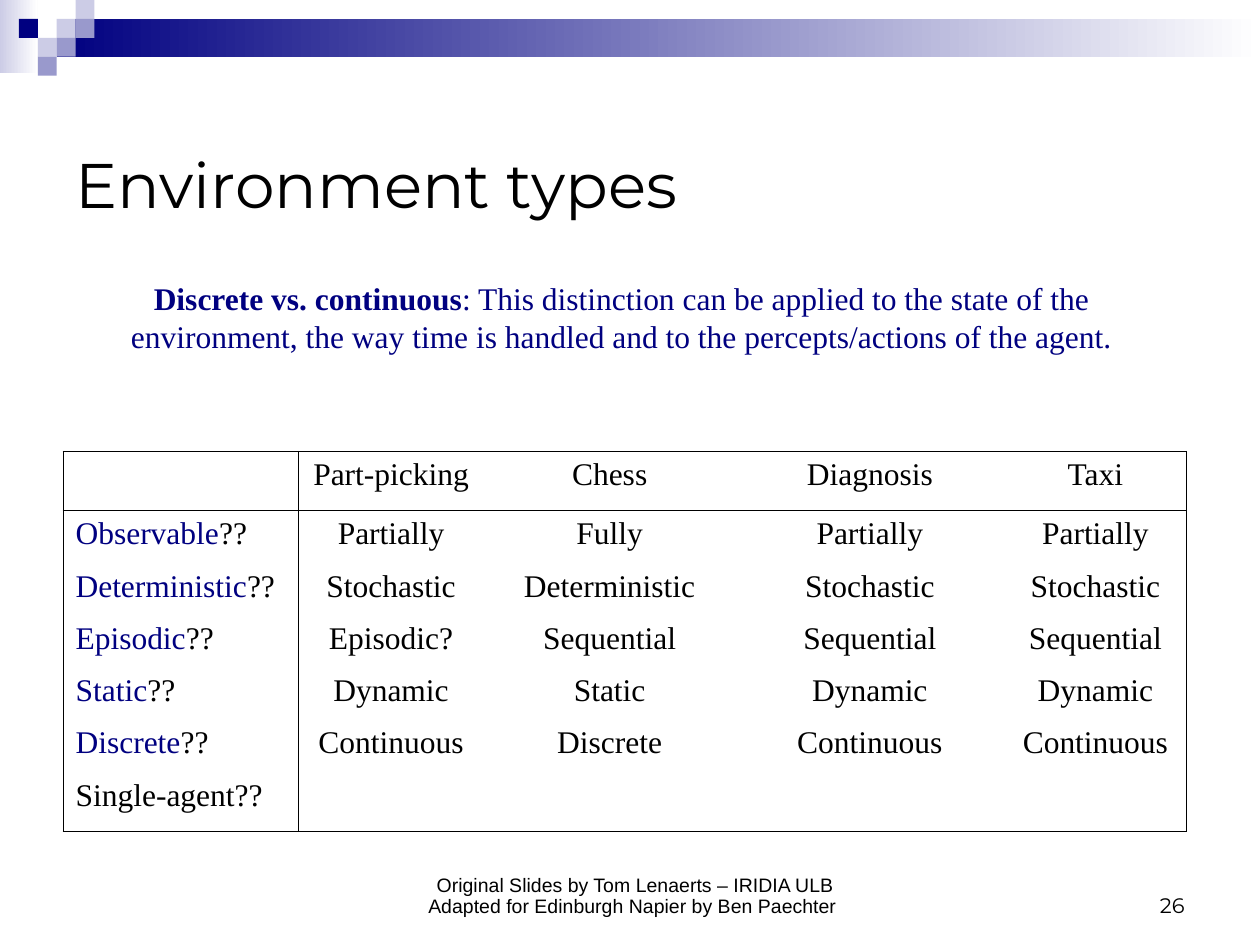
from collections import namedtuple
from dataclasses import dataclass

from lxml.etree import SubElement
from pptx import Presentation
from pptx.dml.color import RGBColor
from pptx.enum.shapes import MSO_SHAPE
from pptx.enum.text import MSO_ANCHOR, PP_ALIGN
from pptx.oxml.ns import qn
from pptx.util import Pt

Box = namedtuple("Box", "x y w h")


@dataclass(frozen=True)
class Theme:
    """Colours, fonts and type sizes of the slide."""
    ink: str = "000000"
    navy: str = "000080"
    mid: str = "9999CC"
    pale: str = "CCCCE6"
    white: str = "FFFFFF"
    sans: str = "Montserrat"
    serif: str = "Times New Roman"
    small: str = "Arial"
    head: float = 36
    body: float = 18
    page: float = 12
    foot: float = 11.1
    rule: float = 0.45


theme = Theme()

HEADS = ["Part-picking", "Chess", "Diagnosis", "Taxi"]
ROWS = [
    ("Observable", "Partially", "Fully", "Partially", "Partially"),
    ("Deterministic", "Stochastic", "Deterministic", "Stochastic", "Stochastic"),
    ("Episodic", "Episodic?", "Sequential", "Sequential", "Sequential"),
    ("Static", "Dynamic", "Static", "Dynamic", "Dynamic"),
    ("Discrete", "Continuous", "Discrete", "Continuous", "Continuous"),
]
WIDTHS = [134.6, 105.8, 144, 153.4, 104.4]
HEIGHTS = [33.8] + [29.9] * 5 + [34]


def write(frame, lines, font=theme.serif, size=theme.body, color=theme.ink,
          align=PP_ALIGN.LEFT, spacing=None):
    """Fill a frame with lines, each a list of (text, colour, bold) runs or a string."""
    for i, line in enumerate(lines):
        para = frame.paragraphs[0] if i == 0 else frame.add_paragraph()
        para.alignment = align
        if spacing:
            para.line_spacing = spacing
        for text, tint, bold in [(line, color, False)] if isinstance(line, str) else line:
            run = para.add_run()
            run.text = text
            run.font.name = font
            run.font.size = Pt(size)
            run.font.bold = bold
            run.font.color.rgb = RGBColor.from_string(tint)


def label(slide, box, lines, anchor=MSO_ANCHOR.TOP, wrap=True, **style):
    """Place a text box."""
    frame = slide.shapes.add_textbox(*map(Pt, box)).text_frame
    frame.word_wrap = wrap
    frame.vertical_anchor = anchor
    write(frame, lines, **style)


def block(slide, box, color, fade=None):
    """Place a rectangle, plain or fading to a second colour on the right."""
    shape = slide.shapes.add_shape(MSO_SHAPE.RECTANGLE, *map(Pt, box))
    shape.shadow.inherit = False
    shape.line.fill.background()
    if fade:
        shape.fill.gradient()
        shape.fill.gradient_angle = 0
        for stop, tint in zip(shape.fill.gradient_stops, (color, fade)):
            stop.color.rgb = RGBColor.from_string(tint)
    else:
        shape.fill.solid()
        shape.fill.fore_color.rgb = RGBColor.from_string(color)


def banner(slide, box):
    """Draw the fading bands and the steps of small squares."""
    unit = box.h / 4
    block(slide, Box(box.x, box.y, 2 * unit, box.h - 1.4), theme.pale, theme.white)
    block(slide, Box(box.x + 3 * unit, box.y + unit, box.w - 3 * unit, 2 * unit),
          theme.navy, theme.white)
    squares = [(3, 1, theme.pale), (4, 0, theme.pale), (4, 1, theme.mid),
               (2, 2, theme.pale), (1, 1, theme.navy), (3, 2, theme.mid),
               (2, 3, theme.mid)]
    for col, row, color in squares:
        block(slide, Box(box.x + col * unit, box.y + row * unit, unit, unit), color)


def edge(cell, sides):
    """Rule the named sides of a cell and clear the others."""
    props = cell._tc.get_or_add_tcPr()
    for side in "LRTB":
        line = SubElement(props, qn(f"a:ln{side}"), w=str(Pt(theme.rule)))
        if side in sides:
            fill = SubElement(line, qn("a:solidFill"))
            SubElement(fill, qn("a:srgbClr"), val=theme.ink)
        else:
            SubElement(line, qn("a:noFill"))
    cell.fill.background()


def grid(slide, box):
    """Draw the table of environments, ruled round its head row and first column."""
    table = slide.shapes.add_table(len(HEIGHTS), len(WIDTHS), *map(Pt, box)).table
    table.first_row = table.horz_banding = False
    for col, width in zip(table.columns, WIDTHS):
        col.width = Pt(width)
    for row, height in zip(table.rows, HEIGHTS):
        row.height = Pt(height)
    last, end = len(HEIGHTS) - 1, len(WIDTHS) - 1
    names = [[(row[0], theme.navy, False), ("??", theme.ink, False)] for row in ROWS]
    lines = [["", *HEADS]]
    lines += [[name, *row[1:]] for name, row in zip(names, ROWS)]
    lines += [["Single-agent??"] + [""] * end]
    for r, line in enumerate(lines):
        for c, text in enumerate(line):
            cell = table.cell(r, c)
            sides = (("L" if c < 2 else "") + ("R" if c in (0, end) else "")
                     + ("T" if r < 2 else "") + ("B" if r in (0, last) else ""))
            edge(cell, sides)
            if text:
                write(cell.text_frame, [text],
                      align=PP_ALIGN.CENTER if c else PP_ALIGN.LEFT)


def footer(slide, box):
    """Place the credits in the middle and the page number on the right."""
    label(slide, Box(box.x, box.y, 289.4, box.h),
          ["Original Slides by Tom Lenaerts – IRIDIA ULB",
           "Adapted for Edinburgh Napier by Ben Paechter "],
          anchor=MSO_ANCHOR.BOTTOM, font=theme.small, size=theme.foot,
          align=PP_ALIGN.CENTER, spacing=0.9)
    label(slide, Box(box.x + box.w - 168, box.y, 168, box.h), ["26"],
          anchor=MSO_ANCHOR.BOTTOM, font=theme.sans, size=theme.page,
          align=PP_ALIGN.RIGHT)


def main():
    """Build the slide and save it."""
    deck = Presentation()
    deck.slide_width, deck.slide_height = Pt(720), Pt(540)
    slide = deck.slides.add_slide(deck.slide_layouts[6])
    banner(slide, Box(0, 0, 720, 43.2))
    footer(slide, Box(218.2, 491.8, 465.8, 36))
    label(slide, Box(36, 60, 648, 90), ["Environment types"],
          anchor=MSO_ANCHOR.MIDDLE, font=theme.sans, size=theme.head)
    grid(slide, Box(36, 257.8, sum(WIDTHS), sum(HEIGHTS)))
    label(slide, Box(67.7, 156.2, 579.6, 50.4),
          [[("Discrete vs. continuous", theme.navy, True),
            (": This distinction can be applied to the state of the ", theme.navy, False)],
           "environment, the way time is handled and to the percepts/actions of the agent. "],
          wrap=False, color=theme.navy, align=PP_ALIGN.CENTER)
    deck.save("out.pptx")


if __name__ == "__main__":
    main()
